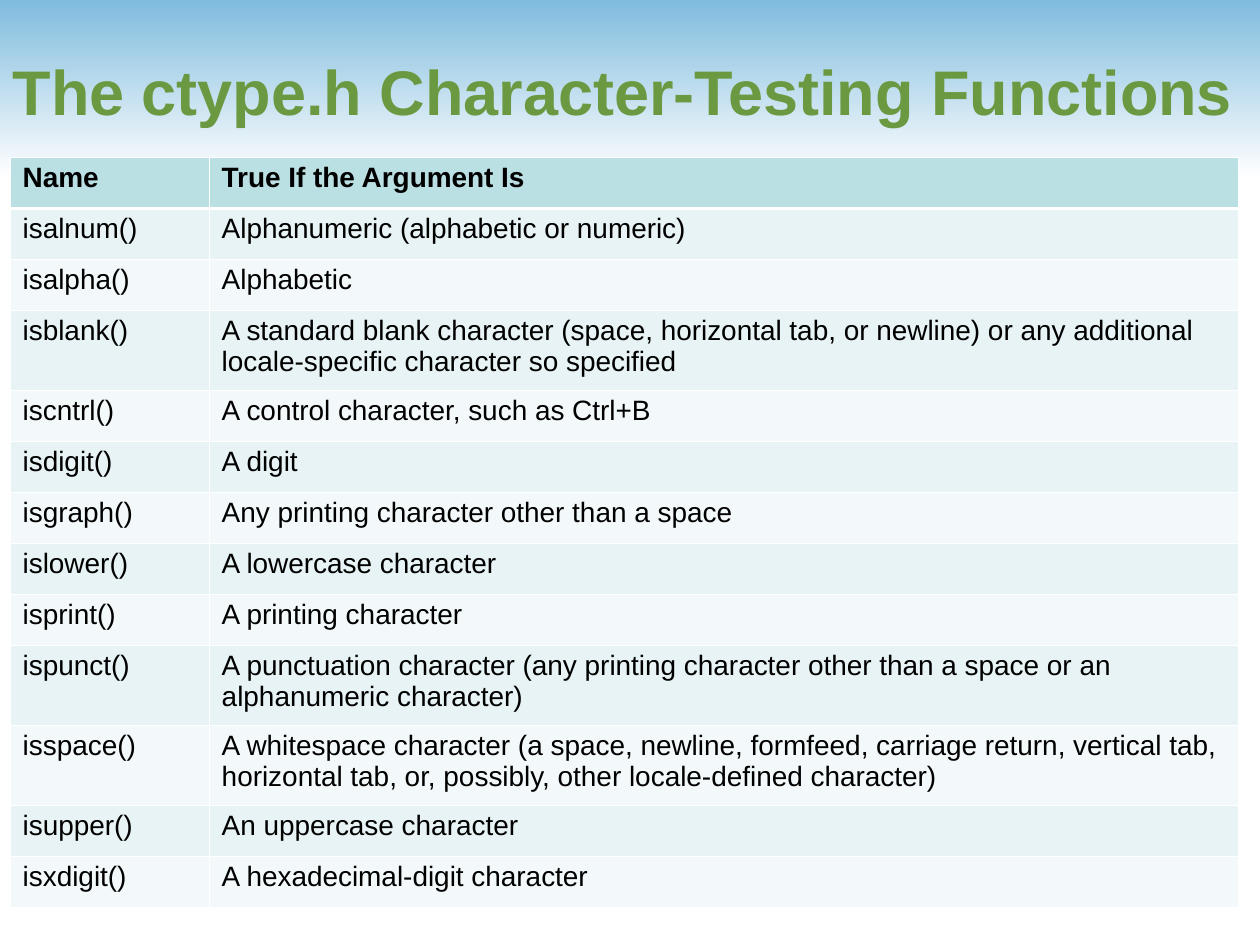
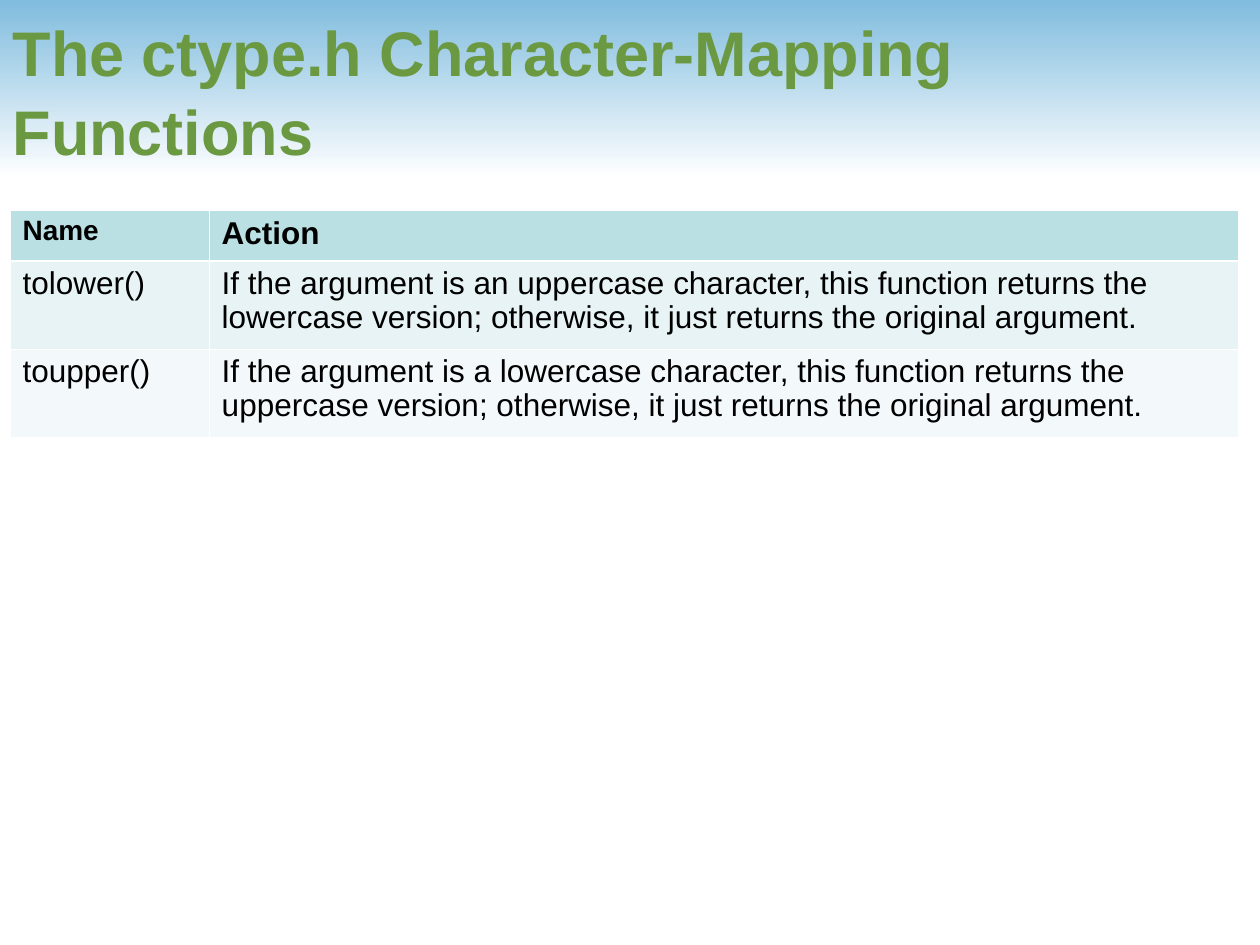
from dataclasses import dataclass

from lxml import etree
from pptx import Presentation
from pptx.dml.color import RGBColor
from pptx.enum import shapes, text
from pptx.oxml.ns import qn
from pptx.util import Inches, Pt

FONT = "Arial"
GREEN = RGBColor(0x6B, 0x99, 0x41)
BLACK = RGBColor(0x00, 0x00, 0x00)
WHITE = RGBColor(0xFF, 0xFF, 0xFF)
SKY = RGBColor(0x80, 0xBC, 0xDE)
HEADER = RGBColor(0xBB, 0xE0, 0xE3)
BANDS = (RGBColor(0xF3, 0xF9, 0xFA), RGBColor(0xE7, 0xF3, 0xF4))
COLUMN_WIDTHS = (Inches(1.58), Inches(8.17))
THIN, THICK = Pt(0.45), Pt(1.47)


@dataclass
class FunctionTable:
    title: str
    top: float
    size: int
    row_height: float
    tall_row_height: float
    rows: list[tuple[str, str]]
    tall_rows: tuple[int, ...]


TESTING = FunctionTable(
    "The ctype.h Character-Testing Functions", 1.25, 16, 0.405, 0.635,
    [
        ("Name", "True If the Argument Is"),
        ("isalnum()", "Alphanumeric (alphabetic or numeric)"),
        ("isalpha()", "Alphabetic"),
        ("isblank()", "A standard blank character (space, horizontal tab, or newline) or any additional\n"
                      "locale-specific character so specified"),
        ("iscntrl()", "A control character, such as Ctrl+B"),
        ("isdigit()", "A digit"),
        ("isgraph()", "Any printing character other than a space"),
        ("islower()", "A lowercase character"),
        ("isprint()", "A printing character"),
        ("ispunct()", "A punctuation character (any printing character other than a space or an\n"
                      "alphanumeric character)"),
        ("isspace()", "A whitespace character (a space, newline, formfeed, carriage return, vertical tab,\n"
                      "horizontal tab, or, possibly, other locale-defined character)"),
        ("isupper()", "An uppercase character"),
        ("isxdigit()", "A hexadecimal-digit character"),
    ],
    (3, 9, 10),
)
MAPPING = FunctionTable(
    "The ctype.h Character-Mapping Functions", 1.67, 18, 0.4, 0.7,
    [
        ("Name", "Action"),
        ("tolower()", "If the argument is an uppercase character, this function returns the "
                      "lowercase version; otherwise, it just returns the original argument."),
        ("toupper()", "If the argument is a lowercase character, this function returns the "
                      "uppercase version; otherwise, it just returns the original argument."),
    ],
    (1, 2),
)


def format_text(tf, size: int, color: RGBColor, bold: bool, spacing: float) -> None:
    for p in tf.paragraphs:
        p.alignment = text.PP_ALIGN.LEFT
        p.line_spacing = spacing
        for r in p.runs:
            r.font.name, r.font.size, r.font.bold = FONT, Pt(size), bold
            r.font.color.rgb = color


def add_master_band(prs, slide) -> None:
    """Draw the gradient band, then move it to the back of the slide master."""
    sp = slide.shapes.add_shape(shapes.MSO_SHAPE.RECTANGLE, 0, 0, prs.slide_width, Inches(1.42))
    sp.shadow.inherit = False
    sp.line.fill.background()
    sp.fill.gradient()
    sp.fill.gradient_angle = 270
    for stop, color in zip(sp.fill.gradient_stops, (SKY, WHITE)):
        stop.color.rgb = color
    prs.slide_master.shapes.element.insert(2, sp.element)


def set_borders(cell, top: int, bottom: int) -> None:
    tc_pr = cell._tc.get_or_add_tcPr()
    for side, width in (("L", THIN), ("R", THIN), ("T", top), ("B", bottom)):
        ln = etree.SubElement(tc_pr, qn(f"a:ln{side}"), w=str(int(width)))
        fill = etree.SubElement(ln, qn("a:solidFill"))
        etree.SubElement(fill, qn("a:srgbClr"), val=str(WHITE))


def set_title(slide, title: str) -> None:
    sp = slide.shapes.title
    sp.left, sp.top, sp.width, sp.height = Inches(0), Inches(0.08), Inches(10.08), Inches(1.25)
    tf = sp.text_frame
    tf.text = title
    tf.word_wrap = True
    tf.auto_size = text.MSO_AUTO_SIZE.NONE
    tf.vertical_anchor = text.MSO_ANCHOR.MIDDLE
    format_text(tf, 36, GREEN, True, 1.05)


def add_function_table(slide, spec_table: FunctionTable) -> None:
    heights = [Inches(spec_table.tall_row_height if i in spec_table.tall_rows else spec_table.row_height)
               for i in range(len(spec_table.rows))]
    table = slide.shapes.add_table(len(heights), 2, Inches(0.08), Inches(spec_table.top),
                                   sum(COLUMN_WIDTHS), sum(heights)).table
    for column, width in zip(table.columns, COLUMN_WIDTHS):
        column.width = width
    for i, (height, row) in enumerate(zip(heights, spec_table.rows)):
        table.rows[i].height = height
        for j, value in enumerate(row):
            cell = table.cell(i, j)
            cell.text = value
            set_borders(cell, THICK if i == 1 else THIN, THICK if i == 0 else THIN)
            cell.fill.solid()
            cell.fill.fore_color.rgb = BANDS[i % 2] if i else HEADER
            size = 16 if (i, j) == (0, 0) else spec_table.size
            format_text(cell.text_frame, size, BLACK, i == 0, 0.97)


def main() -> None:
    prs = Presentation()
    prs.slide_width, prs.slide_height = Inches(10), Inches(7.5)
    for function_table in (TESTING, MAPPING):
        slide = prs.slides.add_slide(prs.slide_layouts[5])
        set_title(slide, function_table.title)
        add_function_table(slide, function_table)
    add_master_band(prs, slide)
    prs.save("out.pptx")


if __name__ == "__main__":
    main()
